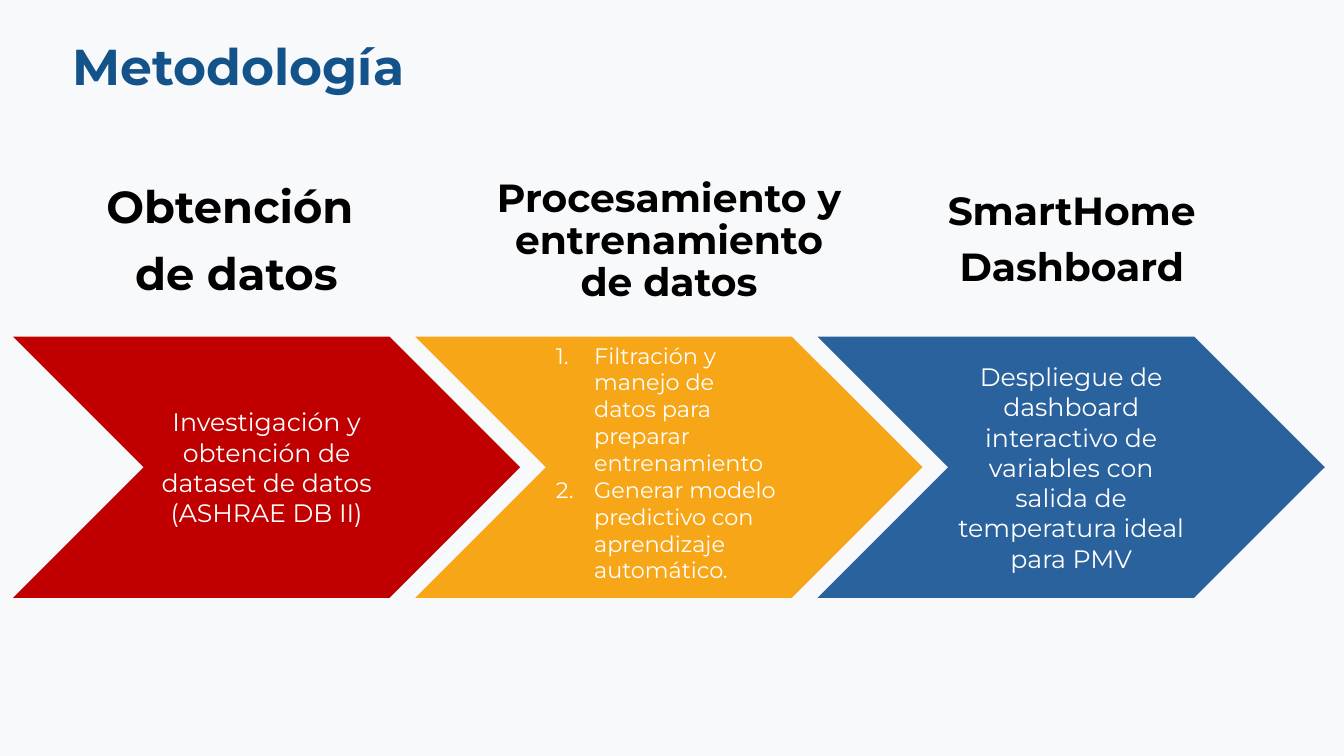
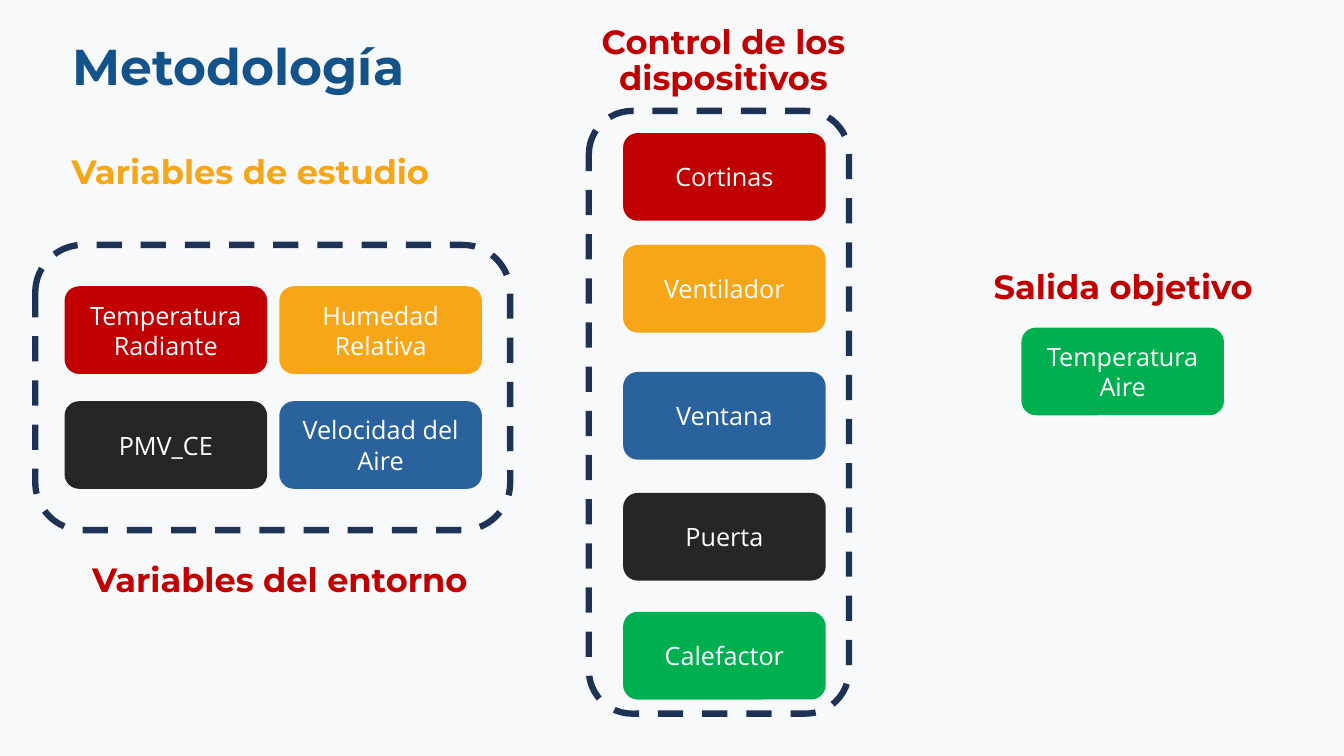
from lxml import etree
from pptx import Presentation
from pptx.dml.color import RGBColor
from pptx.enum.dml import MSO_LINE
from pptx.enum.shapes import MSO_SHAPE
from pptx.enum.text import MSO_ANCHOR, MSO_AUTO_SIZE, PP_ALIGN
from pptx.oxml.ns import qn
from pptx.util import Inches, Pt

CHEVRON = MSO_SHAPE.CHEVRON
ROUNDED = MSO_SHAPE.ROUNDED_RECTANGLE
DASH = MSO_LINE.DASH
TOP, MIDDLE = MSO_ANCHOR.TOP, MSO_ANCHOR.MIDDLE
LEFT, CENTER = PP_ALIGN.LEFT, PP_ALIGN.CENTER
NO_AUTOFIT = MSO_AUTO_SIZE.NONE

BACKGROUND = RGBColor(0xF8, 0xF9, 0xFB)
TITLE_BLUE = RGBColor(0x13, 0x53, 0x8A)
NAVY = RGBColor(0x1E, 0x32, 0x56)
RED = RGBColor(0xC0, 0x00, 0x00)
ORANGE = RGBColor(0xF7, 0xA6, 0x17)
BLUE = RGBColor(0x2A, 0x62, 0x9D)
DARK = RGBColor(0x26, 0x26, 0x26)
GREEN = RGBColor(0x00, 0xB0, 0x50)
BLACK = RGBColor(0x00, 0x00, 0x00)
WHITE = RGBColor(0xFF, 0xFF, 0xFF)

HEADING_FONT = "Montserrat"
LABEL_FONT = "Open Sans"
TITLE_ONLY = 5
CARD_WIDTH, CARD_HEIGHT = 2.01, 0.87
STEP_WIDTH, STEP_HEIGHT = 5.03, 2.59


def inches(box):
    return [Inches(value) for value in box]


def number_paragraph(paragraph):
    properties = paragraph._p.get_or_add_pPr()
    properties.set("marL", str(Inches(0.38)))
    properties.set("indent", str(Inches(-0.38)))
    numbering = etree.SubElement(properties, qn("a:buAutoNum"))
    numbering.set("type", "arabicPeriod")


def write_text(text_frame, lines, font_name, size, color, bold=False,
               spacing=1.0, gap=0, numbered=False):
    """Fill the frame with one paragraph per line; gap separates paragraphs."""
    text_frame.word_wrap = True
    for index, line in enumerate(lines):
        paragraph = text_frame.add_paragraph() if index else text_frame.paragraphs[0]
        paragraph.text = line
        paragraph.alignment = LEFT if numbered else CENTER
        paragraph.line_spacing = spacing
        paragraph.space_before = Pt(gap if index else 0)
        if numbered:
            number_paragraph(paragraph)
        for run in paragraph.runs:
            run.font.name = font_name
            run.font.size = Pt(size)
            run.font.bold = bold
            run.font.color.rgb = color


def add_titled_slide(presentation, title):
    slide = presentation.slides.add_slide(presentation.slide_layouts[TITLE_ONLY])
    shape = slide.shapes.title
    shape.left, shape.top, shape.width, shape.height = inches((0.61, 0.37, 3.51, 0.57))
    shape.text_frame.auto_size = NO_AUTOFIT
    shape.text_frame.vertical_anchor = TOP
    write_text(shape.text_frame, [title], HEADING_FONT, 36, TITLE_BLUE,
               bold=True, spacing=0.9)
    return slide


def add_heading(slide, box, lines, color, size=24, spacing=0.9):
    text_box = slide.shapes.add_textbox(*inches(box))
    write_text(text_box.text_frame, lines, HEADING_FONT, size, color,
               bold=True, spacing=spacing, gap=10)


def add_filled_shape(slide, preset, box, color):
    shape = slide.shapes.add_shape(preset, *inches(box))
    shape.shadow.inherit = False
    shape.fill.solid()
    shape.fill.fore_color.rgb = color
    shape.line.fill.background()
    return shape


def add_card(slide, left, top, label, color):
    card = add_filled_shape(slide, ROUNDED, (left, top, CARD_WIDTH, CARD_HEIGHT), color)
    card.text_frame.vertical_anchor = MIDDLE
    write_text(card.text_frame, [label], LABEL_FONT, 18, WHITE)


def add_dashed_frame(slide, box):
    frame = slide.shapes.add_shape(ROUNDED, *inches(box))
    frame.shadow.inherit = False
    frame.fill.background()
    frame.line.color.rgb = NAVY
    frame.line.width = Pt(4.5)
    frame.line.dash_style = DASH


def add_step(slide, left, top, lines, color, numbered=False):
    step = add_filled_shape(slide, CHEVRON, (left, top, STEP_WIDTH, STEP_HEIGHT), color)
    step.text_frame.vertical_anchor = TOP if numbered else MIDDLE
    write_text(step.text_frame, lines, HEADING_FONT, 16 if numbered else 18, WHITE,
               numbered=numbered)


def build_process_slide(presentation):
    slide = add_titled_slide(presentation, "Metodología")
    steps = [
        (["Investigación y obtención de dataset de datos", "(ASHRAE DB II)"], RED, False),
        (["Filtración y manejo de datos para preparar entrenamiento",
          "Generar modelo predictivo con aprendizaje automático."], ORANGE, True),
        (["Despliegue de dashboard interactivo de variables con salida de "
          "temperatura ideal para PMV"], BLUE, False),
    ]
    for index, (lines, color, numbered) in enumerate(steps):
        add_step(slide, 0.13 + 3.99 * index, 3.34, lines, color, numbered)

    headings = [
        ((0.91, 1.72, 2.87, 1.23), ["Obtención ", "de datos"], 32, 1.0),
        ((4.71, 1.72, 3.85, 1.32), ["Procesamiento y entrenamiento de datos"], 28, 0.9),
        ((8.83, 1.85, 3.6, 1.09), ["SmartHome", "Dashboard"], 28, 0.9),
    ]
    for box, lines, size, spacing in headings:
        add_heading(slide, box, lines, BLACK, size, spacing)


def add_environment_region(slide, left, top):
    add_dashed_frame(slide, (left, top, 4.71, 2.83))
    cards = [("Temperatura Radiante", RED), ("Humedad Relativa", ORANGE),
             ("PMV_CE", DARK), ("Velocidad del Aire", BLUE)]
    for index, (label, color) in enumerate(cards):
        row, column = divmod(index, 2)
        add_card(slide, left + 0.29 + 2.13 * column, top + 0.41 + 1.14 * row, label, color)
    add_heading(slide, (left + 0.32, top + 3.11, 4.21, 0.39),
                ["Variables del entorno"], RED)


def add_devices_region(slide, left, top):
    add_heading(slide, (left - 0.42, top - 0.9, 3.51, 0.8),
                ["Control de los dispositivos"], RED)
    add_dashed_frame(slide, (left, top, 2.58, 5.98))
    devices = [("Cortinas", RED, 0.22), ("Ventilador", ORANGE, 1.33),
               ("Ventana", BLUE, 2.59), ("Puerta", DARK, 3.79),
               ("Calefactor", GREEN, 4.97)]
    for label, color, offset in devices:
        add_card(slide, left + 0.34, top + offset, label, color)


def add_output_region(slide, left, top):
    add_heading(slide, (left, top, 2.98, 0.41), ["Salida objetivo"], RED)
    add_card(slide, left + 0.48, top + 0.62, "Temperatura Aire", GREEN)


def build_variables_slide(presentation):
    slide = add_titled_slide(presentation, "Metodología")
    add_heading(slide, (0.61, 1.49, 3.84, 0.39), ["Variables de estudio "], ORANGE)
    add_environment_region(slide, 0.35, 2.43)
    add_devices_region(slide, 5.84, 1.1)
    add_output_region(slide, 9.65, 2.63)


def main():
    presentation = Presentation()
    presentation.slide_width = Inches(13.33)
    presentation.slide_height = Inches(7.5)
    background = presentation.slide_master.background.fill
    background.solid()
    background.fore_color.rgb = BACKGROUND
    build_process_slide(presentation)
    build_variables_slide(presentation)
    presentation.save("out.pptx")


if __name__ == "__main__":
    main()
